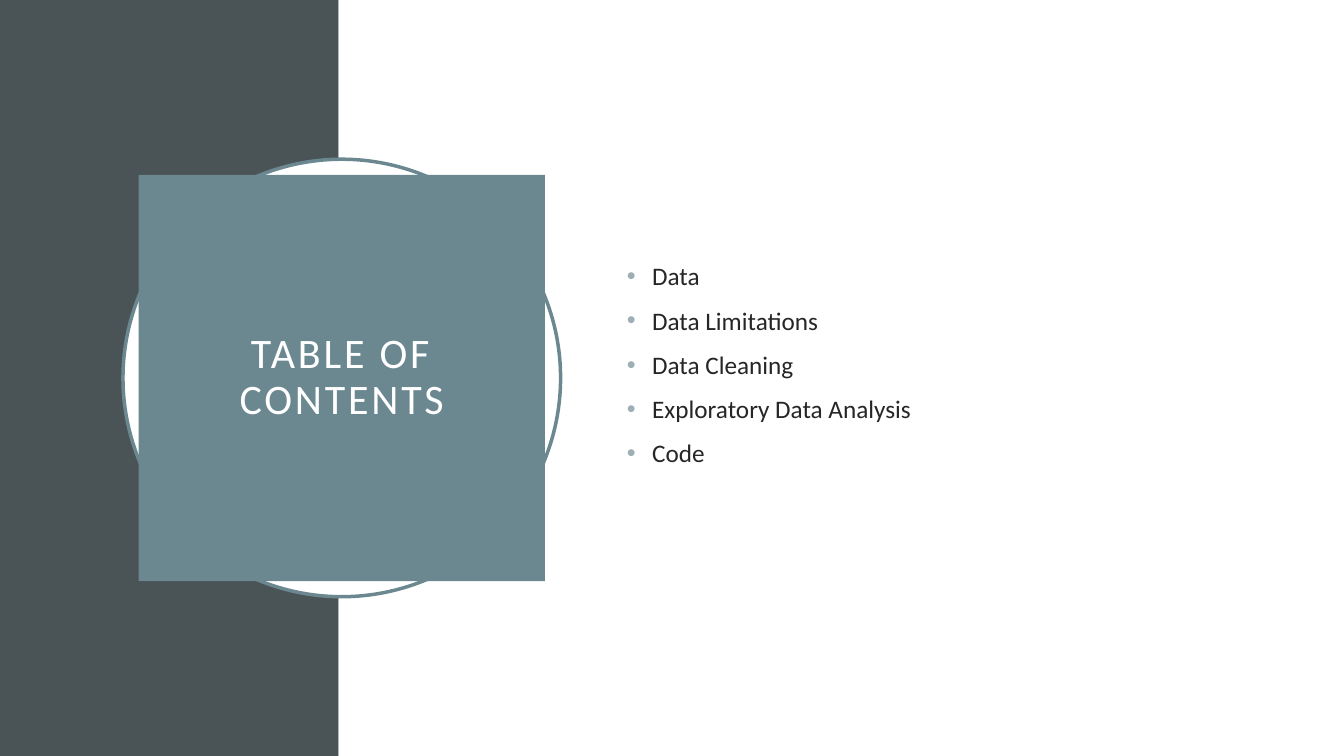
from pptx import Presentation
from pptx.dml.color import RGBColor
from pptx.enum.shapes import MSO_SHAPE as KIND
from pptx.enum.text import MSO_ANCHOR, PP_ALIGN
from pptx.oxml import parse_xml
from pptx.oxml.ns import nsdecls
from pptx.util import Inches, Pt

TITLE = "TABLE OF CONTENTS"
ITEMS = ["Data", "Data Limitations", "Data Cleaning",
         "Exploratory Data Analysis", "Code"]

SLATE = RGBColor(0x4A, 0x53, 0x56)
TEAL = RGBColor(0x6B, 0x88, 0x91)
WHITE = RGBColor(0xFF, 0xFF, 0xFF)
INK = RGBColor(0x26, 0x26, 0x26)
MIST = RGBColor(0x9B, 0xAF, 0xB5)

WIDE, HIGH = 13.33, 7.5
SPLIT = 3.36
MID = (3.39, HIGH / 2)
RING, TILE = 4.34, 4.03
LIST = (6.12, 1.53, 5.82, 4.43)
HEAD = {"name": "Calibri", "size": Pt(30)}
BODY = {"name": "Calibri", "size": Pt(18)}
PADS = ("margin_left", "margin_top", "margin_right", "margin_bottom")


def put(item, form):
    """Set each attribute of an item from a dict."""
    for key, val in form.items():
        setattr(item, key, val)


def square(size):
    """Return a square box centred on the badge."""
    return MID[0] - size / 2, MID[1] - size / 2, size, size


def draw(slide, kind, box, fill, edge=None):
    """Add a flat shape with an optional outline."""
    shape = slide.shapes.add_shape(kind, *map(Inches, box))
    shape.shadow.inherit = False
    shape.fill.solid()
    shape.fill.fore_color.rgb = fill
    if edge:
        shape.line.color.rgb = edge
        shape.line.width = Pt(2.5)
    else:
        shape.line.fill.background()
    return shape


def style(para, form, color):
    """Format the font of a paragraph's runs."""
    for run in para.runs:
        put(run.font, form)
        run.font.color.rgb = color


def bullet(para):
    """Give a paragraph a hanging round bullet."""
    props = para._p.get_or_add_pPr()
    props.set("marL", str(Inches(0.25)))
    props.set("indent", str(-Inches(0.25)))
    for part in (f'<a:buClr {nsdecls("a")}><a:srgbClr val="{MIST}"/></a:buClr>',
                 f'<a:buFont {nsdecls("a")} typeface="Arial"/>',
                 f'<a:buChar {nsdecls("a")} char="•"/>'):
        props.append(parse_xml(part))


def main():
    """Build the contents slide."""
    deck = Presentation()
    put(deck, {"slide_width": Inches(WIDE), "slide_height": Inches(HIGH)})
    slide = deck.slides.add_slide(deck.slide_layouts[6])

    draw(slide, KIND.RECTANGLE, (0, 0, SPLIT, HIGH), SLATE)
    draw(slide, KIND.RECTANGLE, (SPLIT, 0, WIDE - SPLIT, HIGH), WHITE)
    draw(slide, KIND.OVAL, square(RING), WHITE, TEAL)
    tile = draw(slide, KIND.RECTANGLE, square(TILE), TEAL)

    frame = tile.text_frame
    put(frame, {"word_wrap": True, "vertical_anchor": MSO_ANCHOR.MIDDLE})
    put(frame, dict.fromkeys(PADS, Inches(0.2)))
    para = frame.paragraphs[0]
    para.add_run().text = TITLE
    put(para, {"alignment": PP_ALIGN.CENTER, "line_spacing": 0.9})
    style(para, HEAD, WHITE)
    para.runs[0]._r.get_or_add_rPr().set("spc", "200")

    frame = slide.shapes.add_textbox(*map(Inches, LIST)).text_frame
    put(frame, {"word_wrap": True, "vertical_anchor": MSO_ANCHOR.MIDDLE,
                "margin_bottom": Inches(0.31)})
    for rank, text in enumerate(ITEMS):
        para = frame.add_paragraph() if rank else frame.paragraphs[0]
        para.add_run().text = text
        bullet(para)
        para.space_before = Pt(10 if rank else 0)
        style(para, BODY, INK)

    deck.save("out.pptx")


if __name__ == "__main__":
    main()
